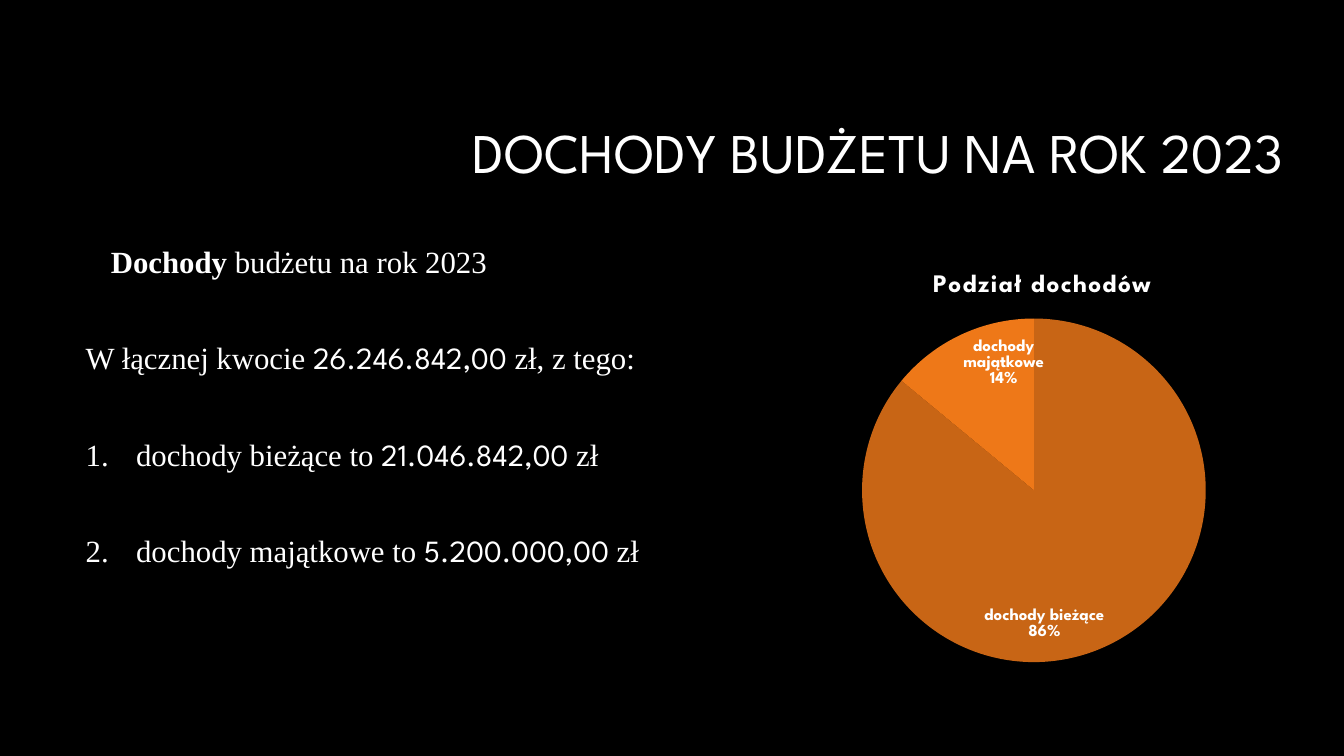
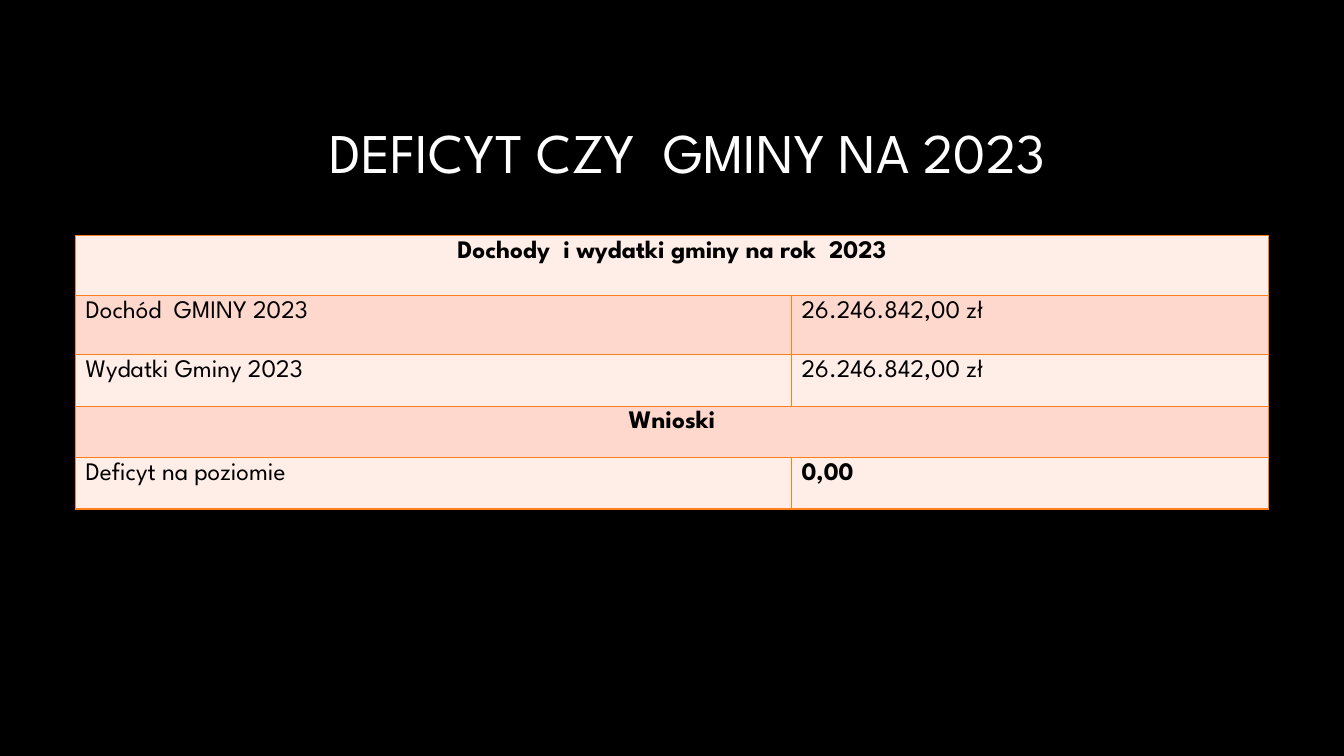
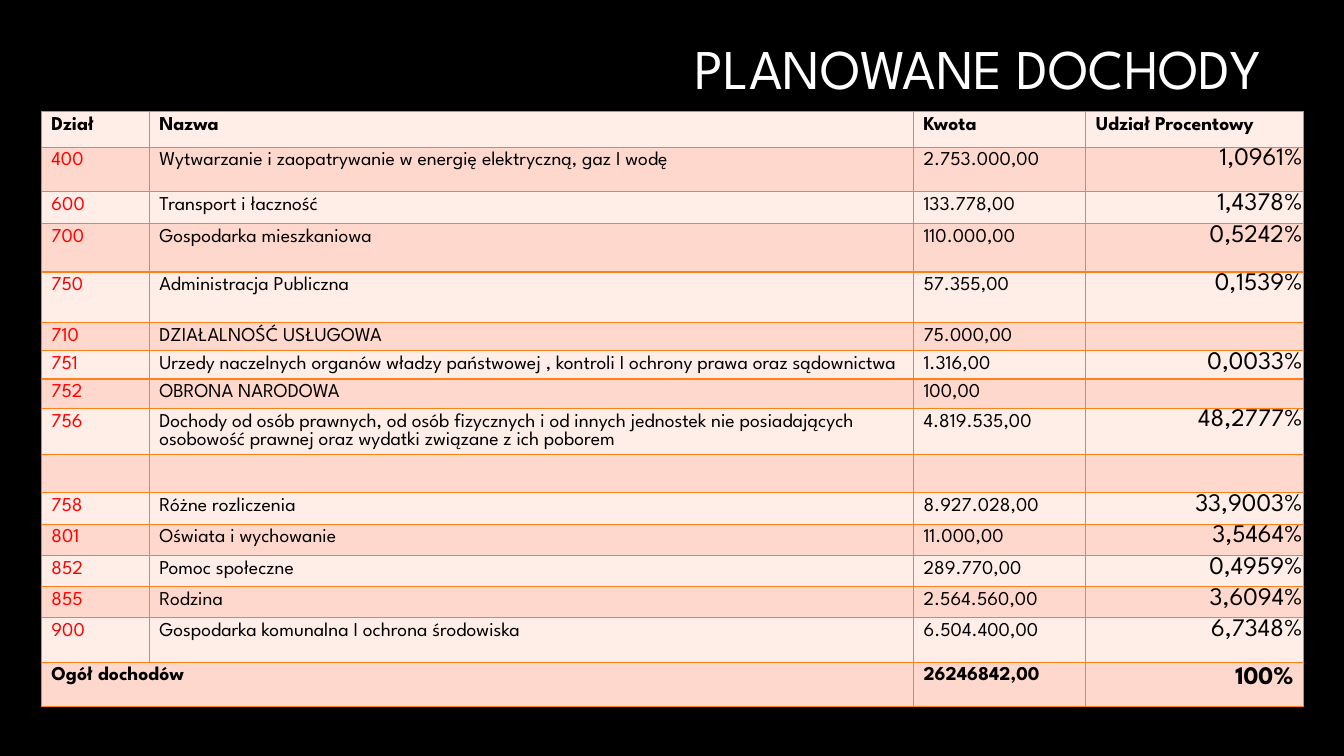
from lxml import etree
from pptx import Presentation
from pptx.chart.data import CategoryChartData
from pptx.dml.color import RGBColor
from pptx.enum import chart as charts, text
from pptx.oxml import parse_xml
from pptx.oxml.ns import nsdecls, qn
from pptx.util import Inches, Pt

# Shared look
BLACK = RGBColor(0, 0, 0)
WHITE = RGBColor(255, 255, 255)
RED = RGBColor(255, 0, 0)
BORDER = RGBColor(0xFE, 0x80, 0x1A)
BANDS = (RGBColor(0xFF, 0xED, 0xE8), RGBColor(0xFF, 0xD8, 0xCD))
SLICES = (RGBColor(0xC8, 0x65, 0x15), RGBColor(0xEE, 0x78, 0x18))
SANS, SERIF = "League Spartan", "Times New Roman"
LEFT, CENTER, RIGHT = (text.PP_ALIGN.LEFT, text.PP_ALIGN.CENTER,
                       text.PP_ALIGN.RIGHT)
TITLE_AND_BODY, TITLE_ONLY = 1, 5

# Content: each body paragraph has left margin, numbering and runs
INCOME_TEXT = [
    (0.25, False, [("Dochody", SERIF, True),
                   (" budżetu na rok 2023", SERIF, False)]),
    (0, False, [("W łącznej kwocie ", SERIF, False),
                ("26.246.842,00 ", SANS, False),
                ("zł, z tego:", SERIF, False)]),
    (0.5, True, [("dochody bieżące to ", SERIF, False),
                 ("21.046.842,00 ", SANS, False), ("zł", SERIF, False)]),
    (0.5, True, [("dochody majątkowe to ", SERIF, False),
                 ("5.200.000,00 ", SANS, False), ("zł", SERIF, False)]),
]
INCOME_SHARES = {"dochody bieżące": 86, "dochody majątkowe": 14}

BALANCE = [
    ("Dochody  i wydatki gminy na rok  2023", None),
    ("Dochód  GMINY 2023", "26.246.842,00 zł"),
    ("Wydatki Gminy 2023", "26.246.842,00 zł"),
    ("Wnioski", None),
    ("Deficyt na poziomie", "0,00"),
]
BALANCE_HEIGHTS = (0.59, 0.59, 0.51, 0.51, 0.51)

PLAN = [
    ("Dział", "Nazwa", "Kwota", "Udział Procentowy"),
    ("400", "Wytwarzanie i zaopatrywanie w energię elektryczną, gaz I wodę",
     "2.753.000,00", "1,0961%"),
    ("600", "Transport i łaczność", "133.778,00", "1,4378%"),
    ("700", "Gospodarka mieszkaniowa", "110.000,00", "0,5242%"),
    ("750", "Administracja Publiczna", "57.355,00", "0,1539%"),
    ("710", "DZIAŁALNOŚĆ USŁUGOWA", "75.000,00", ""),
    ("751", "Urzedy naczelnych organów władzy państwowej , kontroli I ochrony "
     "prawa oraz sądownictwa", "1.316,00", "0,0033%"),
    ("752", "OBRONA NARODOWA", "100,00", ""),
    ("756", "Dochody od osób prawnych, od osób fizycznych i od innych "
     "jednostek nie posiadających osobowość prawnej oraz wydatki związane "
     "z ich poborem", "4.819.535,00", "48,2777%"),
    ("", "", "", ""),
    ("758", "Różne rozliczenia", "8.927.028,00", "33,9003%"),
    ("801", "Oświata i wychowanie", "11.000,00", "3,5464%"),
    ("852", "Pomoc społeczne", "289.770,00", "0,4959%"),
    ("855", "Rodzina", "2.564.560,00", "3,6094%"),
    ("900", "Gospodarka komunalna I ochrona środowiska", "6.504.400,00",
     "6,7348%"),
    ("Ogół dochodów", None, "26246842,00", "100%"),
]
PLAN_HEIGHTS = (0.35, 0.44, 0.32, 0.48, 0.5, 0.28, 0.28, 0.29, 0.46, 0.38,
                0.31, 0.31, 0.31, 0.31, 0.44, 0.44)


def set_font(font, color, **values):
    for name, value in values.items():
        setattr(font, name, value)
    font.color.rgb = color


def place(shape, box):
    for name, value in zip(("left", "top", "width", "height"), box):
        setattr(shape, name, Inches(value))


def add_slide(presentation, layout, title, box, align=RIGHT):
    slide = presentation.slides.add_slide(presentation.slide_layouts[layout])
    shape = slide.shapes.title
    place(shape, box)
    frame = shape.text_frame
    frame.auto_size = text.MSO_AUTO_SIZE.NONE
    frame.vertical_anchor = text.MSO_ANCHOR.MIDDLE
    paragraph = frame.paragraphs[0]
    paragraph.alignment, paragraph.line_spacing = align, 0.9
    run = paragraph.add_run()
    run.text = title
    set_font(run.font, WHITE, name=SANS, size=Pt(40), bold=False)
    return slide


def fill_body(shape, paragraphs):
    frame = shape.text_frame
    frame.auto_size = text.MSO_AUTO_SIZE.NONE
    for index, (margin, numbered, runs) in enumerate(paragraphs):
        paragraph = frame.add_paragraph() if index else frame.paragraphs[0]
        properties = paragraph._p.get_or_add_pPr()
        properties.set("marL", str(Inches(margin)))
        properties.set("indent", str(-Inches(margin) if numbered else 0))
        if numbered:
            bullet = etree.SubElement(properties, qn("a:buAutoNum"))
            bullet.set("type", "arabicPeriod")
        else:
            etree.SubElement(properties, qn("a:buNone"))
        paragraph.line_spacing = 0.9
        paragraph.space_before = Pt(45 if index else 0)
        for words, font, bold in runs:
            run = paragraph.add_run()
            run.text = words
            set_font(run.font, WHITE, name=font, size=Pt(22), bold=bold)


def add_layout(parent, x, y, size=None, target=None):
    """Pin a chart part at fractions of the chart area."""
    values = [("xMode", "edge"), ("yMode", "edge"), ("x", x), ("y", y)]
    if target:
        values.insert(0, ("layoutTarget", target))
    if size:
        values += zip("wh", size)
    for old in parent.findall(qn("c:layout")):
        parent.remove(old)
    parts = "".join(f'<c:{name} val="{value}"/>' for name, value in values)
    layout = parse_xml(f'<c:layout {nsdecls("c")}><c:manualLayout>{parts}'
                       '</c:manualLayout></c:layout>')
    text_part = parent.find(qn("c:tx"))
    if text_part is None:
        parent.insert(0, layout)
    else:
        text_part.addnext(layout)


def add_pie(slide, title, shares, box):
    data = CategoryChartData()
    data.categories = list(shares)
    data.add_series("Series 1", list(shares.values()))
    chart = slide.shapes.add_chart(
        charts.XL_CHART_TYPE.PIE, *map(Inches, box), data).chart
    chart.has_legend = False
    set_font(chart.font, WHITE, name=SANS, size=Pt(10))

    chart.has_title = True
    run = chart.chart_title.text_frame.paragraphs[0].add_run()
    run.text = title
    set_font(run.font, WHITE, name=SANS, size=Pt(18), bold=True)
    run.font._element.set("spc", "100")
    add_layout(chart.chart_title._element, 0.3, 0.04)
    plot_area = chart._chartSpace.find(".//" + qn("c:plotArea"))
    add_layout(plot_area, 0.18, 0.15, (0.62, 0.73), "inner")

    plot = chart.plots[0]
    plot.vary_by_categories = True
    for index, color in enumerate(SLICES):
        fill = plot.series[0].points[index].format.fill
        fill.solid()
        fill.fore_color.rgb = color
    labels = plot.series[0].data_labels
    labels.show_value = False
    labels.show_category_name = labels.show_percentage = True
    labels.position = charts.XL_LABEL_POSITION.INSIDE_END
    set_font(labels.font, WHITE, name=SANS, size=Pt(12), bold=True)
    separator = etree.Element(qn("c:separator"))
    separator.text = "\n"
    labels._element.find(qn("c:showBubbleSize")).addnext(separator)


def add_borders(cell):
    properties = cell._tc.get_or_add_tcPr()
    for side in "LRTB":
        properties.append(parse_xml(
            f'<a:ln{side} {nsdecls("a")} w="{Pt(1)}"><a:solidFill>'
            f'<a:srgbClr val="{BORDER}"/></a:solidFill></a:ln{side}>'))


def add_table(slide, rows, origin, widths, heights, style):
    """None joins a cell to its left neighbour; style formats each cell."""
    box = (*origin, sum(widths), sum(heights))
    table = slide.shapes.add_table(
        len(rows), len(widths), *map(Inches, box)).table
    table.first_row = table.horz_banding = False
    for column, width in zip(table.columns, widths):
        column.width = Inches(width)
    for row, height in zip(table.rows, heights):
        row.height = Inches(height)
    for r, values in enumerate(rows):
        for c, value in enumerate(values):
            cell = table.cell(r, c)
            add_borders(cell)
            cell.fill.solid()
            cell.fill.fore_color.rgb = BANDS[r % 2]
            if value is None:
                table.cell(r, c - 1).merge(cell)
                continue
            look = style(r, c)
            for name, inset in look.get("insets", {}).items():
                setattr(cell, name, Inches(inset))
            paragraph = cell.text_frame.paragraphs[0]
            paragraph.alignment = look.get("align", LEFT)
            size = Pt(look["size"])
            if value:
                run = paragraph.add_run()
                run.text = value
                set_font(run.font, look.get("color", BLACK), name=SANS,
                         size=size, bold=look.get("bold", False))
            else:
                end = etree.SubElement(paragraph._p, qn("a:endParaRPr"))
                end.set("sz", str(int(size.pt * 100)))


def balance_style(r, c):
    heading = BALANCE[r][1] is None
    return {"size": 18, "align": CENTER if heading else LEFT,
            "bold": heading or (r, c) == (len(BALANCE) - 1, 1)}


def plan_style(r, c):
    last = len(PLAN) - 1
    look = {"size": 14, "bold": r in (0, last)}
    if c == 0 and 0 < r < last:
        look["color"] = RED
    if c == 3 and r > 0:
        look.update(size=18 if PLAN[r][c] else 14, align=RIGHT)
        if r < last:
            look["insets"] = {"margin_left": 0.01, "margin_right": 0.01,
                              "margin_top": 0.01, "margin_bottom": 0}
    return look


def main():
    presentation = Presentation()
    presentation.slide_width = Inches(13.33)
    presentation.slide_height = Inches(7.5)
    background = presentation.slide_master.background.fill
    background.solid()
    background.fore_color.rgb = BLACK

    # Income with pie
    slide = add_slide(presentation, TITLE_AND_BODY,
                      "DOCHODY BUDŻETU NA ROK 2023", (2.47, 0.84, 10.36, 1.41))
    body = slide.placeholders[1]
    place(body, (0.75, 2.4, 11.83, 4.4))
    fill_body(body, INCOME_TEXT)
    add_pie(slide, "Podział dochodów", INCOME_SHARES, (7.56, 2.46, 5.5, 4.67))

    # Balance
    slide = add_slide(presentation, TITLE_ONLY, "DEFICYT CZY  GMINY NA 2023",
                      (3.17, 0.84, 9.42, 1.41), LEFT)
    add_table(slide, BALANCE, (0.75, 2.34), (7.1, 4.73), BALANCE_HEIGHTS,
              balance_style)

    # Planned income by section
    slide = add_slide(presentation, TITLE_ONLY, "PLANOWANE DOCHODY",
                      (3.19, 0, 9.42, 1.41))
    add_table(slide, PLAN, (0.41, 1.11), (1.07, 7.58, 1.71, 2.16),
              PLAN_HEIGHTS, plan_style)

    presentation.save("out.pptx")


if __name__ == "__main__":
    main()
